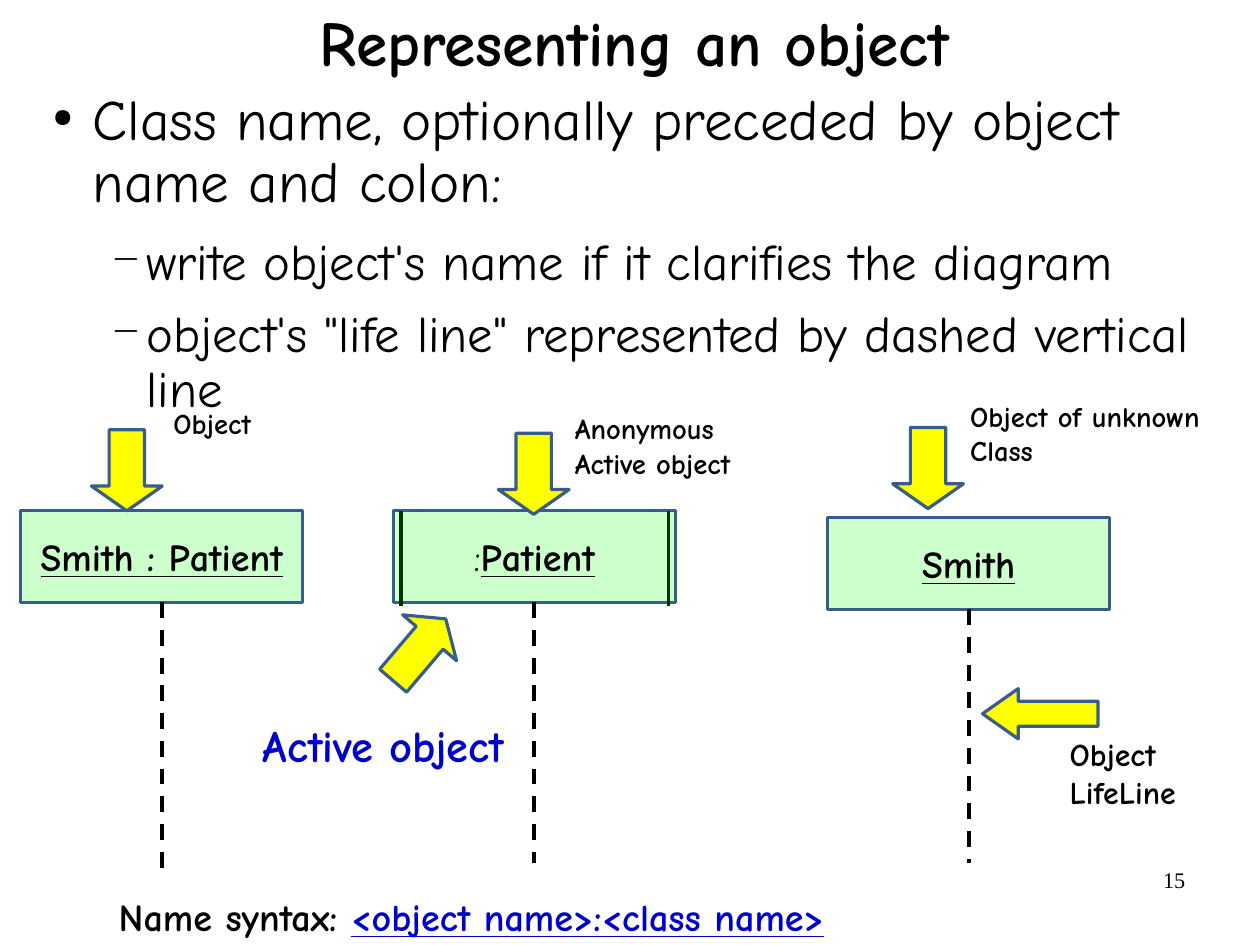
"""Build the slide on how an object is represented in a sequence diagram."""
from lxml import etree
from pptx import Presentation
from pptx.dml.color import RGBColor
from pptx.enum import dml, shapes, text
from pptx.oxml import ns
from pptx.util import Pt

BLACK = RGBColor(0x00, 0x00, 0x00)
BLUE = RGBColor(0x00, 0x00, 0xCC)
GREEN = RGBColor(0xCC, 0xFF, 0xCC)
DARK_GREEN = RGBColor(0x00, 0x33, 0x00)
YELLOW = RGBColor(0xFF, 0xFF, 0x00)
OUTLINE = RGBColor(0x38, 0x5D, 0x8A)

PLAIN = {"name": "Comic Neue"}
BOLD = {**PLAIN, "bold": True}
UNDERLINED = {**BOLD, "underline": True}
INSET = {"margin_left": Pt(7.2), "margin_right": Pt(7.2),
         "margin_top": Pt(3.6), "margin_bottom": Pt(3.6)}
NO_INSET = dict.fromkeys(INSET, 0)
MIDDLE = {"vertical_anchor": text.MSO_ANCHOR.MIDDLE}
CENTER = {"alignment": text.PP_ALIGN.CENTER}

deck = Presentation()
deck.slide_width, deck.slide_height = Pt(793.7), Pt(595.3)
slide = deck.slides.add_slide(deck.slide_layouts[6])


def write(frame, lines, size, frame_format=INSET, line_format={}):
    """Fill a frame with lines, each a list of (words, font format, colour)."""
    for key, value in {"word_wrap": True, **frame_format}.items():
        setattr(frame, key, value)
    for index, line in enumerate(lines):
        paragraph = frame.paragraphs[0] if index == 0 else frame.add_paragraph()
        for key, value in line_format.items():
            setattr(paragraph, key, value)
        for words, font_format, color in line:
            run = paragraph.add_run()
            run.text = words
            run.font.size = Pt(size)
            run.font.color.rgb = color
            for key, value in font_format.items():
                setattr(run.font, key, value)


def paint(part, fill):
    """Give a shape its fill and the common outline, without shadow."""
    part.shadow.inherit = False
    part.fill.solid()
    part.fill.fore_color.rgb = fill
    part.line.color.rgb = OUTLINE
    part.line.width = Pt(2)


page_number = slide.shapes.add_textbox(Pt(568.8), Pt(542.2), Pt(185), Pt(41))
write(page_number.text_frame, [[("15", {"name": "Times New Roman"}, BLACK)]], 14,
      line_format={"alignment": text.PP_ALIGN.RIGHT})

title = slide.shapes.add_textbox(Pt(61.2), Pt(-20.2), Pt(676.8), Pt(98.6))
write(title.text_frame, [[("Representing an object", BOLD, BLACK)]], 40,
      {**NO_INSET, **MIDDLE}, {**CENTER, "line_spacing": 0.88})

points = [
    ("Class name, optionally preceded by object name and colon:", 0, 36),
    ("write object's name if it clarifies the diagram", 1, 32),
    ("object's \"life line\" represented by dashed vertical line", 1, 32),
]
bullet_styles = [("●", 45, 33.1, -25.2, 13.8), ("−", 75, 67, -22.3, 10.9)]
body = slide.shapes.add_textbox(Pt(25.2), Pt(57.6), Pt(769), Pt(450)).text_frame
write(body, [[] for point in points], 36, NO_INSET, {"line_spacing": 0.9})
for paragraph, (words, level, size) in zip(body.paragraphs, points):
    symbol, percent, margin, indent, gap = bullet_styles[level]
    paragraph.level = level
    paragraph.space_after = Pt(gap)
    properties = paragraph._p.get_or_add_pPr()
    properties.set("marL", str(Pt(margin)))
    properties.set("indent", str(Pt(indent)))
    bullet_color = etree.SubElement(properties, ns.qn("a:buClr"))
    etree.SubElement(bullet_color, ns.qn("a:srgbClr"), val=str(BLACK))
    etree.SubElement(properties, ns.qn("a:buSzPct"), val=str(percent * 1000))
    etree.SubElement(properties, ns.qn("a:buChar"), char=symbol)
    run = paragraph.add_run()
    run.text = words
    run.font.name = "Comic Neue"
    run.font.size = Pt(size)
    run.font.color.rgb = BLACK

BOX_WIDTH, BOX_HEIGHT = 177.8, 57.6
objects = [
    (13, 321.8, 552.2, [("Smith : Patient", UNDERLINED, BLACK)]),
    (247.7, 321.8, 543.6, [(":", PLAIN, BLACK), ("Patient", UNDERLINED, BLACK)]),
    (521.3, 326.2, 543.6, [("Smith", UNDERLINED, BLACK)]),
]
lines = []
for left, top, lifeline_end, label in objects:
    box = slide.shapes.add_shape(shapes.MSO_SHAPE.RECTANGLE, Pt(left), Pt(top),
                                 Pt(BOX_WIDTH), Pt(BOX_HEIGHT))
    paint(box, GREEN)
    write(box.text_frame, [label], 24, {**INSET, **MIDDLE}, CENTER)
    center = left + BOX_WIDTH / 2
    lifeline = slide.shapes.add_connector(
        shapes.MSO_CONNECTOR.STRAIGHT, Pt(center), Pt(top + BOX_HEIGHT),
        Pt(center), Pt(lifeline_end))
    lifeline.begin_connect(box, 2)
    lifeline.line.dash_style = dml.MSO_LINE.DASH
    lines.append((lifeline, BLACK, 2.5))

arrows = [
    (313.9, 272.9, 44.6, 51.1, 0, 0.35),
    (562.3, 269.3, 44.6, 51.1, 0, 0.35),
    (57.6, 270.7, 44.6, 51.1, 0, 0.35),
    (241.9, 383.8, 44.6, 51.1, 220.4, 0.35),
    (639.4, 413.3, 31.7, 72.7, 90, 0.71),
]
for left, top, width, height, rotation, head in arrows:
    arrow = slide.shapes.add_shape(shapes.MSO_SHAPE.DOWN_ARROW, Pt(left), Pt(top),
                                   Pt(width), Pt(height))
    paint(arrow, YELLOW)
    arrow.rotation = rotation
    arrow.adjustments[1] = head

captions = [
    (666.7, 459.4, 208.8, 55.4, 20, BLACK, ["Object", "LifeLine"]),
    (355, 255.6, 212.4, 50.4, 18, BLACK, ["Anonymous", "Active object"]),
    (604.1, 247.7, 175, 50.4, 18, BLACK, ["Object of unknown Class"]),
    (102.2, 252, 211.7, 28.8, 18, BLACK, ["Object"]),
    (158.4, 448.6, 211.7, 41, 28, BLUE, ["Active object"]),
]
for left, top, width, height, size, color, words in captions:
    caption = slide.shapes.add_textbox(Pt(left), Pt(top), Pt(width), Pt(height))
    write(caption.text_frame, [[(line, BOLD, color)] for line in words], size)

syntax = slide.shapes.add_textbox(Pt(67.7), Pt(559.4), Pt(663.8), Pt(36))
write(syntax.text_frame, [[("Name syntax: ", BOLD, BLACK),
                           ("<object name>:<class name>", UNDERLINED, BLUE)]], 24)

for x in (252.7, 421.2):
    active_bar = slide.shapes.add_connector(shapes.MSO_CONNECTOR.STRAIGHT,
                                            Pt(x), Pt(321.8), Pt(x), Pt(381.6))
    lines.append((active_bar, DARK_GREEN, 2.25))

for line, color, width in lines:
    line.line.color.rgb = color
    line.line.width = Pt(width)
    etree.SubElement(line._element.spPr, ns.qn("a:effectLst"))

deck.save("out.pptx")
